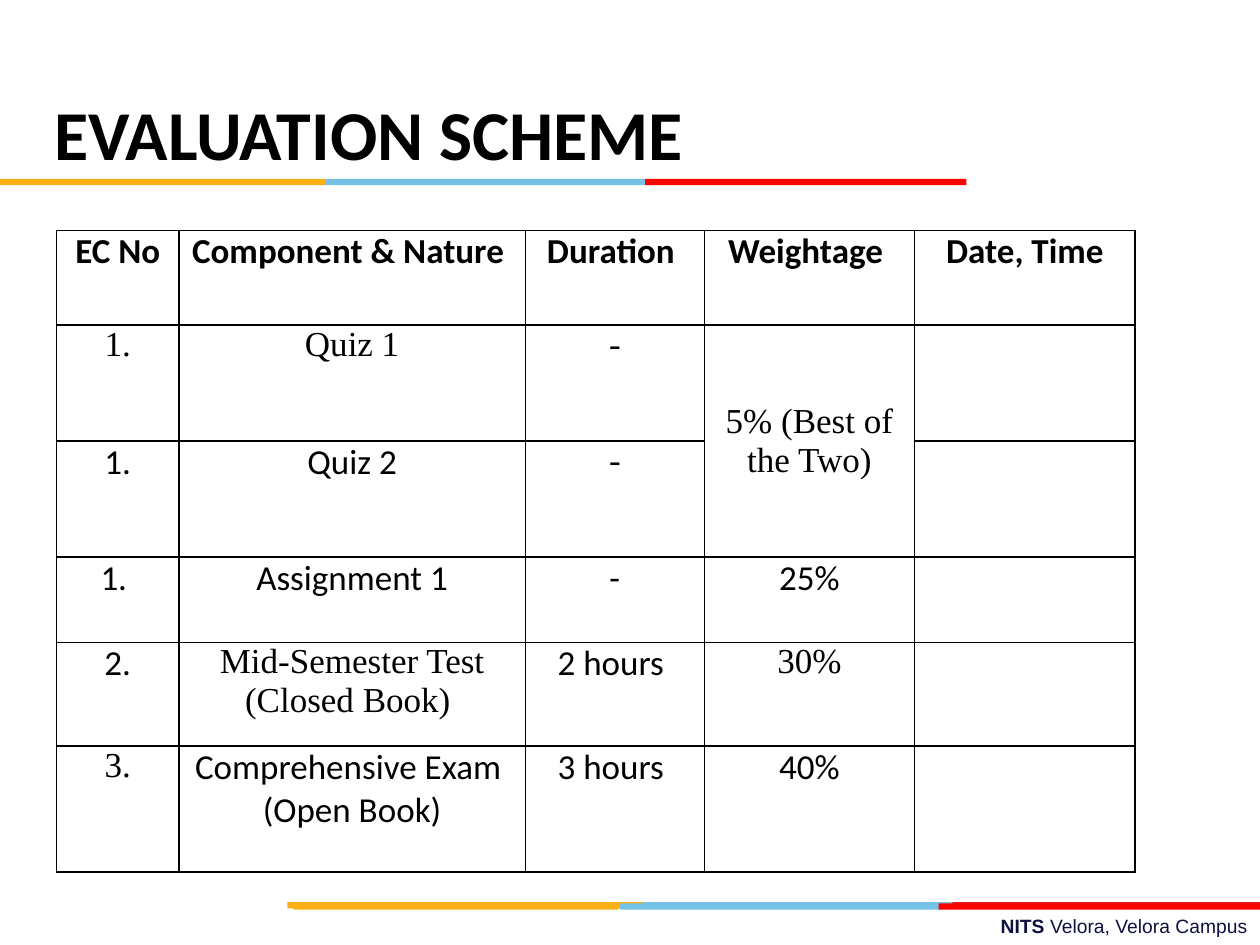
from lxml.etree import SubElement
from pptx import Presentation
from pptx.dml.color import RGBColor
from pptx.enum.shapes import MSO_SHAPE
from pptx.enum.text import MSO_ANCHOR, PP_ALIGN
from pptx.oxml.ns import qn
from pptx.util import Inches, Pt

BLACK = RGBColor(0x00, 0x00, 0x00)
NAVY = RGBColor(0x10, 0x11, 0x41)
AMBER = RGBColor(0xFC, 0xB0, 0x17)
SKY = RGBColor(0x76, 0xC2, 0xE5)
CRIMSON = RGBColor(0xE3, 0x1C, 0x24)
RED = RGBColor(0xFF, 0x00, 0x00)


def style_run(run, size, font, color, bold):
    run.font.size = Pt(size)
    run.font.name = font
    run.font.color.rgb = color
    run.font.bold = bold


def add_borders(cell):
    props = cell._tc.get_or_add_tcPr()
    for position, side in enumerate(("a:lnL", "a:lnR", "a:lnT", "a:lnB")):
        line = props.makeelement(qn(side), {"w": str(Pt(1))})
        fill = SubElement(line, qn("a:solidFill"))
        SubElement(fill, qn("a:srgbClr"), val=str(BLACK))
        props.insert(position, line)


prs = Presentation()
prs.slide_width = Inches(10)
prs.slide_height = Inches(7.5)
slide = prs.slides.add_slide(prs.slide_layouts[5])

campus = slide.shapes.add_textbox(Inches(3.58), Inches(7.21), Inches(6.42), Inches(0.29))
campus.text_frame.word_wrap = True
campus_line = campus.text_frame.paragraphs[0]
campus_line.alignment = PP_ALIGN.RIGHT
for words, bold in (("NITS ", True), ("Velora, Velora Campus", False)):
    run = campus_line.add_run()
    run.text = words
    style_run(run, 11, "Arial", NAVY, bold)

stripes = [
    (7.16, [(5.06, 2.55, SKY), (7.56, 2.44, CRIMSON), (2.28, 2.82, AMBER)]),
    (7.17, [(4.92, 2.55, SKY), (2.33, 2.58, AMBER), (7.45, 2.55, RED)]),
    (1.42, [(2.58, 2.55, SKY), (0, 2.58, AMBER), (5.12, 2.55, RED)]),
]
for top, bands in stripes:
    for left, width, color in bands:
        band = slide.shapes.add_shape(
            MSO_SHAPE.RECTANGLE, Inches(left), Inches(top), Inches(width), Inches(0.05))
        band.shadow.inherit = False
        band.fill.solid()
        band.fill.fore_color.rgb = color
        band.line.fill.background()

title = slide.shapes.title
title.left, title.top = Inches(0.33), Inches(0.67)
title.width, title.height = Inches(6.32), Inches(0.77)
title.text_frame.text = "EVALUATION SCHEME"
title.text_frame.word_wrap = False
heading = title.text_frame.paragraphs[0]
heading.alignment = PP_ALIGN.LEFT
style_run(heading.runs[0], 40, "Calibri", BLACK, True)

scheme = [
    ["EC No", "Component & Nature ", "Duration ", "Weightage ", "Date, Time"],
    ["1.", "Quiz 1", "-", "5% (Best of the Two)", ""],
    ["1.", "Quiz 2", "-", "", ""],
    ["1. ", "Assignment 1", "-", "25%", ""],
    ["2.", "Mid-Semester Test\n(Closed Book) ", "2 hours ", "30%", ""],
    ["3.", "Comprehensive Exam \n(Open Book)", "3 hours ", "40%", ""],
]
serif_cells = {(1, 0), (1, 1), (1, 2), (1, 3), (2, 2), (4, 1), (4, 3), (5, 0)}
col_widths = [0.97, 2.75, 1.42, 1.67, 1.75]
row_heights = [0.75, 0.92, 0.92, 0.68, 0.82, 1]

table = slide.shapes.add_table(
    len(scheme), len(col_widths), Inches(0.45), Inches(1.83), Inches(8.55), Inches(5.08)).table
table.first_row = False
table.horz_banding = False
for column, width in zip(table.columns, col_widths):
    column.width = Inches(width)
for row, height in zip(table.rows, row_heights):
    row.height = Inches(height)

for r, entries in enumerate(scheme):
    for c, entry in enumerate(entries):
        cell = table.cell(r, c)
        cell.margin_left = cell.margin_right = Inches(0.07)
        cell.margin_top = cell.margin_bottom = 0
        cell.fill.background()
        add_borders(cell)
        cell.text_frame.text = entry
        font = "Times New Roman" if (r, c) in serif_cells else "Calibri"
        for paragraph in cell.text_frame.paragraphs:
            paragraph.alignment = PP_ALIGN.CENTER
            for run in paragraph.runs:
                style_run(run, 20, font, BLACK, r == 0)

table.cell(2, 1).text_frame.paragraphs[0].space_after = Pt(6)
best_quiz = table.cell(1, 3)
best_quiz.merge(table.cell(2, 3))
best_quiz.vertical_anchor = MSO_ANCHOR.MIDDLE

prs.save("out.pptx")
